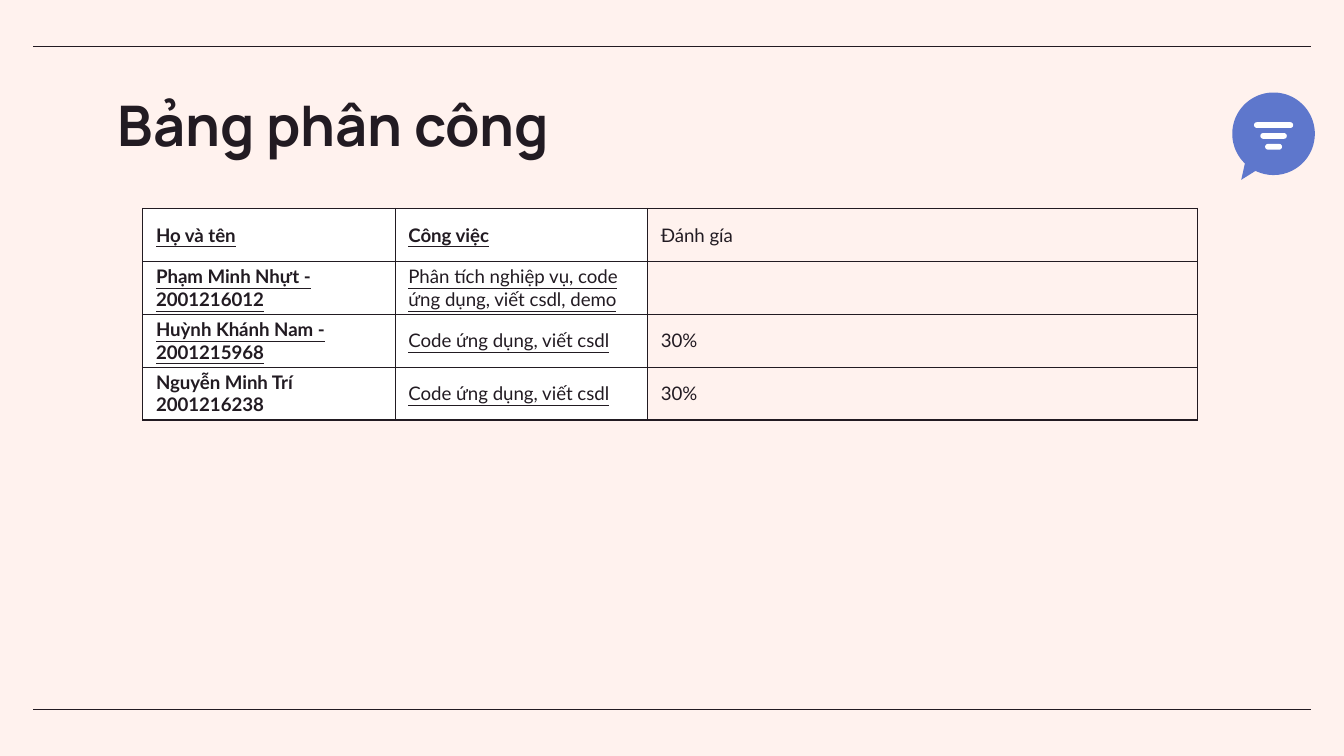
from math import cos, radians, sin

from lxml.etree import SubElement
from pptx import Presentation
from pptx.dml.color import RGBColor
from pptx.enum.shapes import MSO_CONNECTOR, MSO_SHAPE
from pptx.enum.text import MSO_ANCHOR, MSO_AUTO_SIZE, PP_ALIGN
from pptx.oxml.ns import qn
from pptx.util import Cm, Pt

INK = RGBColor(0x22, 0x1B, 0x22)
CREAM = RGBColor(0xFF, 0xF2, 0xEE)
WHITE = RGBColor(0xFF, 0xFF, 0xFF)
BLUE = RGBColor(0x5E, 0x77, 0xCC)

ROWS = [
    ("Họ và tên", "Công việc", "Đánh gía"),
    ("Phạm Minh Nhựt - 2001216012",
     "Phân tích nghiệp vụ, code ứng dụng, viết csdl, demo", ""),
    ("Huỳnh Khánh Nam - 2001215968", "Code ứng dụng, viết csdl", "30%"),
    ("Nguyễn Minh Trí\n2001216238", "Code ứng dụng, viết csdl", "30%"),
]
COL_WIDTHS = (4.77, 4.77, 10.4)
ROW_HEIGHT = 1


class SlideBuilder:
    """Holds the style and the current slide; lengths are in centimetres."""
    title_font = "Manrope"
    body_font = "Lato"
    line_width = Pt(0.75)

    def __init__(self, prs):
        self.s = prs.slides.add_slide(prs.slide_layouts[5])
        self.s.background.fill.solid()
        self.s.background.fill.fore_color.rgb = CREAM

    def style_font(self, font, name, size, bold, underline=False):
        font.name, font.size = name, Pt(size)
        font.bold, font.underline = bold, underline
        font.color.rgb = INK

    def title(self, text, x, y, w, h):
        sp = self.s.shapes.title
        sp.left, sp.top, sp.width, sp.height = Cm(x), Cm(y), Cm(w), Cm(h)
        tf = sp.text_frame
        tf.text = text
        tf.word_wrap = True
        tf.auto_size = MSO_AUTO_SIZE.NONE
        tf.vertical_anchor = MSO_ANCHOR.TOP
        tf.margin_left = tf.margin_right = Cm(0.25)
        tf.margin_top = tf.margin_bottom = Cm(0.25)
        p = tf.paragraphs[0]
        p.alignment = PP_ALIGN.LEFT
        self.style_font(p.font, self.title_font, 30, True)

    def rule(self, x1, x2, y):
        line = self.s.shapes.add_connector(
            MSO_CONNECTOR.STRAIGHT, Cm(x1), Cm(y), Cm(x2), Cm(y))
        line.line.color.rgb = INK
        line.line.width = self.line_width
        SubElement(line._element.spPr, qn("a:effectLst"))

    def paint(self, sp, color):
        sp.shadow.inherit = False
        sp.fill.solid()
        sp.fill.fore_color.rgb = color
        sp.line.fill.background()

    def bubble(self, cx, cy, radius, tail):
        """Round speech bubble whose tail fills the gap at its lower left."""
        points = [(Cm(cx + radius * cos(radians(a))), Cm(cy + radius * sin(radians(a))))
                  for a in range(134, 477, 3)]
        points.append((Cm(tail[0]), Cm(tail[1])))
        builder = self.s.shapes.build_freeform(*points[0])
        builder.add_line_segments(points[1:])
        self.paint(builder.convert_to_shape(), BLUE)

    def bar(self, cx, y, w, h):
        sp = self.s.shapes.add_shape(
            MSO_SHAPE.ROUNDED_RECTANGLE, Cm(cx - w / 2), Cm(y), Cm(w), Cm(h))
        sp.adjustments[0] = 0.5
        self.paint(sp, WHITE)

    def cell_borders(self, cell):
        tcPr = cell._tc.get_or_add_tcPr()
        for i, side in enumerate(("lnL", "lnR", "lnT", "lnB")):
            ln = tcPr.makeelement(qn(f"a:{side}"), {"w": str(self.line_width)})
            fill = SubElement(ln, qn("a:solidFill"))
            SubElement(fill, qn("a:srgbClr"), val=str(INK))
            tcPr.insert(i, ln)

    def cell(self, cell, text, bold, underline, filled):
        cell.text = text
        cell.vertical_anchor = MSO_ANCHOR.MIDDLE
        cell.margin_left = cell.margin_right = Cm(0.25)
        cell.margin_top = cell.margin_bottom = 0
        if filled:
            cell.fill.solid()
            cell.fill.fore_color.rgb = WHITE
        else:
            cell.fill.background()
        for p in cell.text_frame.paragraphs:
            self.style_font(p.font, self.body_font, 10, bold, underline)
        self.cell_borders(cell)

    def table(self, rows, x, y):
        table = self.s.shapes.add_table(
            len(rows), len(COL_WIDTHS), Cm(x), Cm(y),
            Cm(sum(COL_WIDTHS)), Cm(ROW_HEIGHT * len(rows))).table
        table.first_row = table.horz_banding = False
        for col, width in zip(table.columns, COL_WIDTHS):
            col.width = Cm(width)
        for r, row in enumerate(rows):
            table.rows[r].height = Cm(ROW_HEIGHT)
            for c, text in enumerate(row):
                filled = c < 2
                bold = c == 0 or (r == 0 and filled)
                underline = filled and "\n" not in text
                self.cell(table.cell(r, c), text, bold, underline, filled)


def main():
    prs = Presentation()
    prs.slide_width, prs.slide_height = Cm(25.4), Cm(14.29)
    slide = SlideBuilder(prs)
    for y in (0.88, 13.41):
        slide.rule(0.63, 24.77, y)
    icon_x = 24.07
    slide.bubble(icon_x, 2.53, 0.78, (23.46, 3.4))
    for i, width in enumerate((0.74, 0.5, 0.32)):
        slide.bar(icon_x, 2.31 + 0.205 * i, width, 0.11)
    slide.title("Bảng phân công", 1.98, 1.47, 21.44, 1.6)
    slide.table(ROWS, 2.7, 3.94)
    prs.save("out.pptx")


if __name__ == "__main__":
    main()
